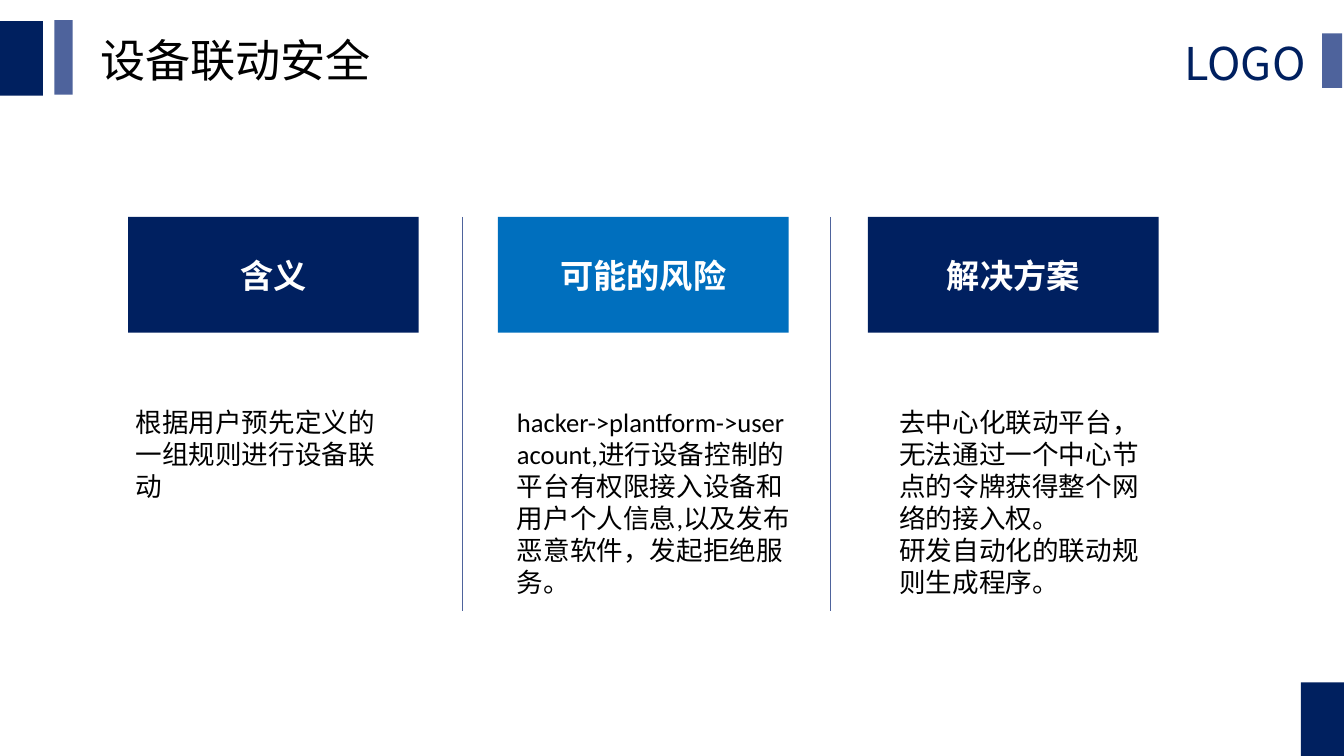
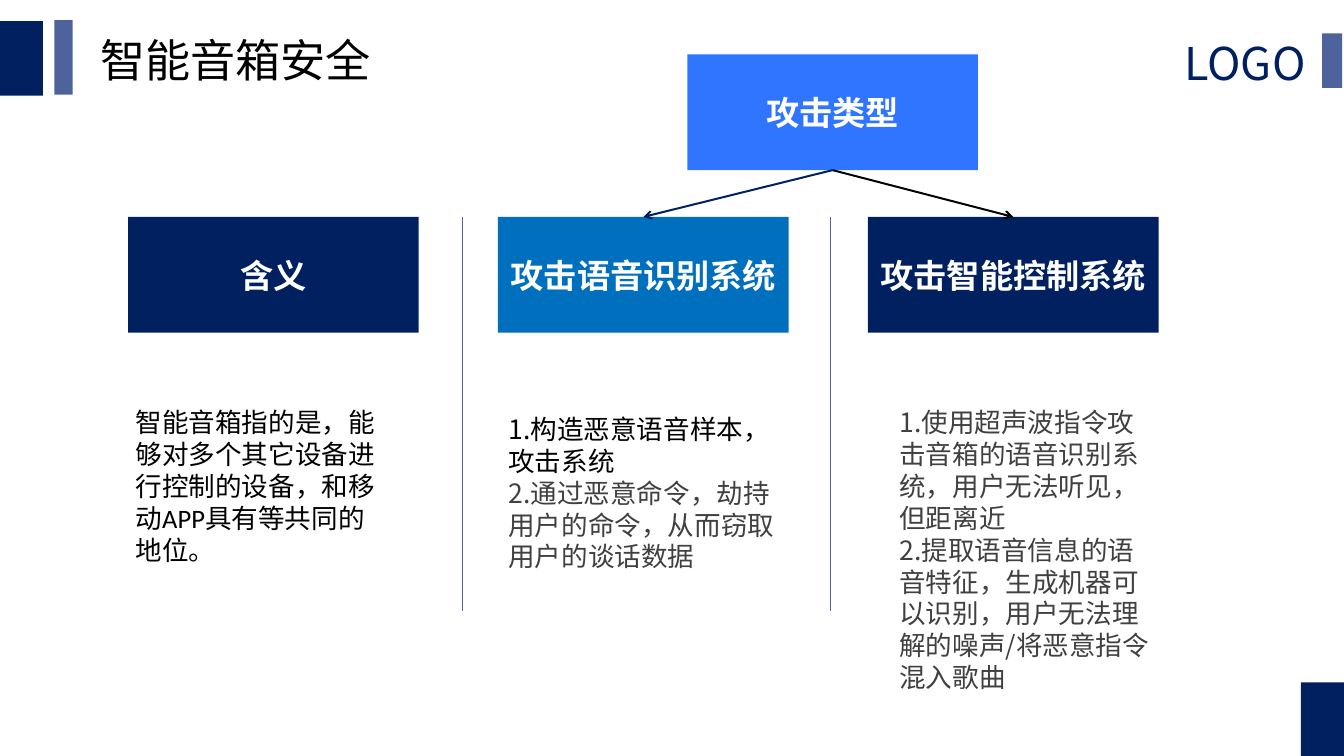
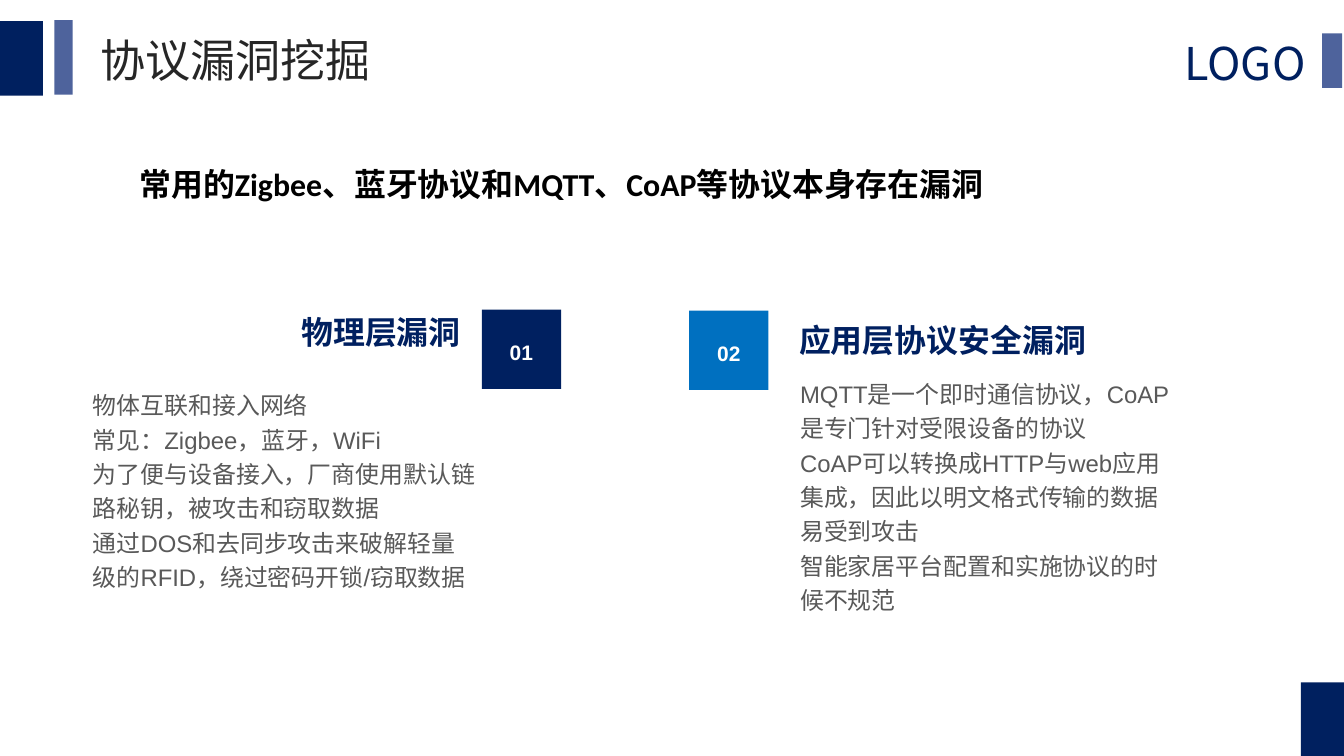
from dataclasses import dataclass

from lxml import etree
from pptx import Presentation
from pptx.dml.color import RGBColor
from pptx.enum.shapes import MSO_CONNECTOR, MSO_SHAPE
from pptx.enum.text import MSO_ANCHOR, MSO_AUTO_SIZE, PP_ALIGN
from pptx.oxml.ns import qn
from pptx.util import Inches, Pt

RECT = MSO_SHAPE.RECTANGLE
STRAIGHT = MSO_CONNECTOR.STRAIGHT
TOP, MIDDLE = MSO_ANCHOR.TOP, MSO_ANCHOR.MIDDLE
LEFT, CENTER, RIGHT = PP_ALIGN.LEFT, PP_ALIGN.CENTER, PP_ALIGN.RIGHT
NO_AUTOFIT = MSO_AUTO_SIZE.NONE
SIDE_TOP, SIDE_BOTTOM = 0, 2


@dataclass(frozen=True)
class Theme:
    band: str = "00205F"
    navy: str = "002060"
    slate: str = "4E639C"
    blue: str = "006FBE"
    azure: str = "0070C0"
    bright: str = "3075FF"
    white: str = "FFFFFF"
    black: str = "000000"
    ink: str = "262626"
    dark: str = "404040"
    grey: str = "595959"
    cjk: str = "Noto Sans CJK SC"
    latin: str = "Calibri"
    sans: str = "Arial"
    title_size: float = 34
    card_size: float = 25
    head_size: float = 24
    body_size: float = 20
    detail_size: float = 18
    chip_size: float = 15.8


T = Theme()


def style(name, size, color, bold=False, align=LEFT, spacing=1.0):
    return {
        "font": {"name": name, "size": Pt(size), "bold": bold},
        "color": color,
        "paragraph": {"alignment": align, "line_spacing": spacing},
    }


TITLE = style(T.cjk, T.title_size, T.black)
TITLE_INK = style(T.cjk, T.title_size, T.ink)
LOGO = style(T.cjk, T.title_size, T.navy)
CARD = style(T.cjk, T.card_size, T.white, True, CENTER)
BODY = style(T.latin, T.body_size, T.black)
BODY_CJK = style(T.cjk, T.body_size, T.dark)
LEAD = style(T.latin, T.head_size, T.black, True)
HEAD = style(T.sans, T.head_size, T.navy, True, LEFT, 1.2)
HEAD_RIGHT = style(T.sans, T.head_size, T.navy, True, RIGHT, 1.2)
DETAIL = style(T.sans, T.detail_size, T.grey, False, LEFT, 1.2)
CHIP = style(T.sans, T.chip_size, T.white, True, CENTER, 1.2)

CARD_LEFTS = [1.34 + 3.87 * i for i in range(3)]
CARD_TOP, CARD_W, CARD_H = 2.27, 3.04, 1.21
DIVIDERS = (4.84, 8.69)
BODY_TOP = 4.2


def rgb(color):
    return RGBColor.from_string(color)


def set_all(target, values):
    for name, value in values.items():
        setattr(target, name, value)


def write(tf, lines, look, insets=(0.11, 0.05), anchor=TOP):
    dx, dy = map(Inches, insets)
    set_all(tf, {
        "word_wrap": True, "auto_size": NO_AUTOFIT, "vertical_anchor": anchor,
        "margin_left": dx, "margin_right": dx,
        "margin_top": dy, "margin_bottom": dy,
    })
    for i, line in enumerate(lines):
        p = tf.add_paragraph() if i else tf.paragraphs[0]
        set_all(p, look["paragraph"])
        r = p.add_run()
        r.text = line
        set_all(r.font, look["font"])
        r.font.color.rgb = rgb(look["color"])


def add_text(s, box, lines, look, insets=(0.1, 0.05)):
    sp = s.shapes.add_textbox(*map(Inches, box))
    write(sp.text_frame, lines, look, insets)
    return sp


def add_block(s, box, color):
    sp = s.shapes.add_shape(RECT, *map(Inches, box))
    sp.shadow.inherit = False
    sp.fill.solid()
    sp.fill.fore_color.rgb = rgb(color)
    sp.line.fill.background()
    return sp


def add_card(s, left, top, text, color):
    sp = add_block(s, (left, top, CARD_W, CARD_H), color)
    write(sp.text_frame, [text], CARD, anchor=MIDDLE)
    return sp


def add_chip(s, left, top, text, color):
    sp = add_block(s, (left, top, 0.83, 0.83), color)
    write(sp.text_frame, [text], CHIP, (0, 0), MIDDLE)


def add_line(s, start, end, color, width):
    line = s.shapes.add_connector(STRAIGHT, *map(Inches, start + end))
    line.line.color.rgb = rgb(color)
    line.line.width = Pt(width)
    etree.SubElement(line.element.spPr, qn("a:effectLst"))
    return line


def add_arrow(s, source, target, color):
    line = add_line(s, (0, 0), (1, 1), color, 1.5)
    line.begin_connect(source, SIDE_BOTTOM)
    line.end_connect(target, SIDE_TOP)
    ln = line.element.spPr.find(qn("a:ln"))
    etree.SubElement(ln, qn("a:tailEnd"), type="arrow")


def decorate_layout(layout, s):
    for ph in list(layout.placeholders)[1:]:
        layout.shapes.element.remove(ph.element)
    title_box = map(Inches, (0.94, 0.29, 6.57, 0.68))
    set_all(layout.placeholders[0],
            dict(zip(("left", "top", "width", "height"), title_box)))
    parts = [
        add_block(s, (-0.01, 0.22, 0.46, 0.78), T.band),
        add_block(s, (13.61, 7.14, 0.46, 0.78), T.band),
        add_block(s, (0.57, 0.21, 0.19, 0.78), T.slate),
        add_text(s, (12.28, 0.32, 1.85, 0.67), ["LOGO"], LOGO, (0.11, 0.05)),
        add_block(s, (13.83, 0.35, 0.21, 0.57), T.slate),
    ]
    for sp in parts:
        layout.shapes.element.append(sp.element)


def set_title(s, text, look=TITLE):
    write(s.shapes.title.text_frame, [text], look)


def add_columns(s, headings):
    for x in DIVIDERS:
        add_line(s, (x, CARD_TOP), (x, 6.39), T.slate, 0.25)
    colors = (T.navy, T.blue, T.navy)
    return [add_card(s, left, CARD_TOP, text, color)
            for left, text, color in zip(CARD_LEFTS, headings, colors)]


def build_linkage(s):
    set_title(s, "设备联动安全")
    add_columns(s, ("含义", "可能的风险", "解决方案"))
    add_text(s, (1.32, BODY_TOP, 2.82, 1.11),
             ["根据用户预先定义的一组规则进行设备联动"], BODY)
    add_text(s, (5.31, BODY_TOP, 3.21, 2.12),
             ["hacker->plantform->user acount,进行设备控制的平台有权限接入设备和"
              "用户个人信息,以及发布恶意软件，发起拒绝服务。"], BODY)
    add_text(s, (9.31, BODY_TOP, 2.82, 2.12),
             ["去中心化联动平台，无法通过一个中心节点的令牌获得整个网络的接入权。",
              "研发自动化的联动规则生成程序。"], BODY)


def build_speaker(s):
    set_title(s, "智能音箱安全")
    cards = add_columns(s, ("含义", "攻击语音识别系统", "攻击智能控制系统"))
    attack = add_card(s, 7.19, 0.57, "攻击类型", T.bright)
    for card, color in zip(cards[1:], (T.navy, T.black)):
        add_arrow(s, attack, card, color)
    add_text(s, (1.32, BODY_TOP, 2.82, 1.78),
             ["智能音箱指的是，能够对多个其它设备进行控制的设备，和移动APP具有等共同的地位。"],
             BODY)
    voice = add_text(s, (5.22, 4.27, 3.21, 1.78),
                     ["1.构造恶意语音样本，攻击系统",
                      "2.通过恶意命令，劫持用户的命令，从而窃取用户的谈话数据"], BODY_CJK)
    voice.text_frame.paragraphs[0].runs[0].font.color.rgb = rgb(T.black)
    add_text(s, (9.31, BODY_TOP, 2.82, 3.13),
             ["1.使用超声波指令攻击音箱的语音识别系统，用户无法听见，但距离近",
              "2.提取语音信息的语音特征，生成机器可以识别，用户无法理解的噪声/将恶意指令混入歌曲"],
             BODY_CJK)


def build_protocols(s):
    set_title(s, "协议漏洞挖掘", TITLE_INK)
    add_text(s, (1.36, 1.67, 11.47, 0.5),
             ["常用的Zigbee、蓝牙协议和MQTT、CoAP等协议本身存在漏洞"], LEAD)
    add_text(s, (1.76, 3.08, 3.06, 0.28), ["物理层漏洞"], HEAD_RIGHT, (0, 0.11))
    add_text(s, (0.97, 4.03, 4.02, 2.76),
             ["物体互联和接入网络",
              "常见：Zigbee，蓝牙，WiFi",
              "为了便与设备接入，厂商使用默认链路秘钥，被攻击和窃取数据",
              "通过DOS和去同步攻击来破解轻量级的RFID，绕过密码开锁/窃取数据"],
             DETAIL, (0, 0))
    add_chip(s, 5.04, 3.24, "01", T.navy)
    add_chip(s, 7.21, 3.25, "02", T.azure)
    add_text(s, (8.36, 3.17, 3.46, 0.67), ["应用层协议安全漏洞"], HEAD, (0, 0.11))
    add_text(s, (8.37, 3.91, 3.99, 2.56),
             ["MQTT是一个即时通信协议，CoAP是专门针对受限设备的协议",
              "CoAP可以转换成HTTP与web应用集成，因此以明文格式传输的数据易受到攻击",
              "智能家居平台配置和实施协议的时候不规范"],
             DETAIL, (0, 0))


def main():
    prs = Presentation()
    prs.slide_width, prs.slide_height = Inches(14.06), Inches(7.91)
    layout = prs.slide_layouts[5]
    builders = (build_linkage, build_speaker, build_protocols)
    slides = [prs.slides.add_slide(layout) for _ in builders]
    decorate_layout(layout, slides[0])
    for build, s in zip(builders, slides):
        build(s)
    prs.save("out.pptx")


if __name__ == "__main__":
    main()
